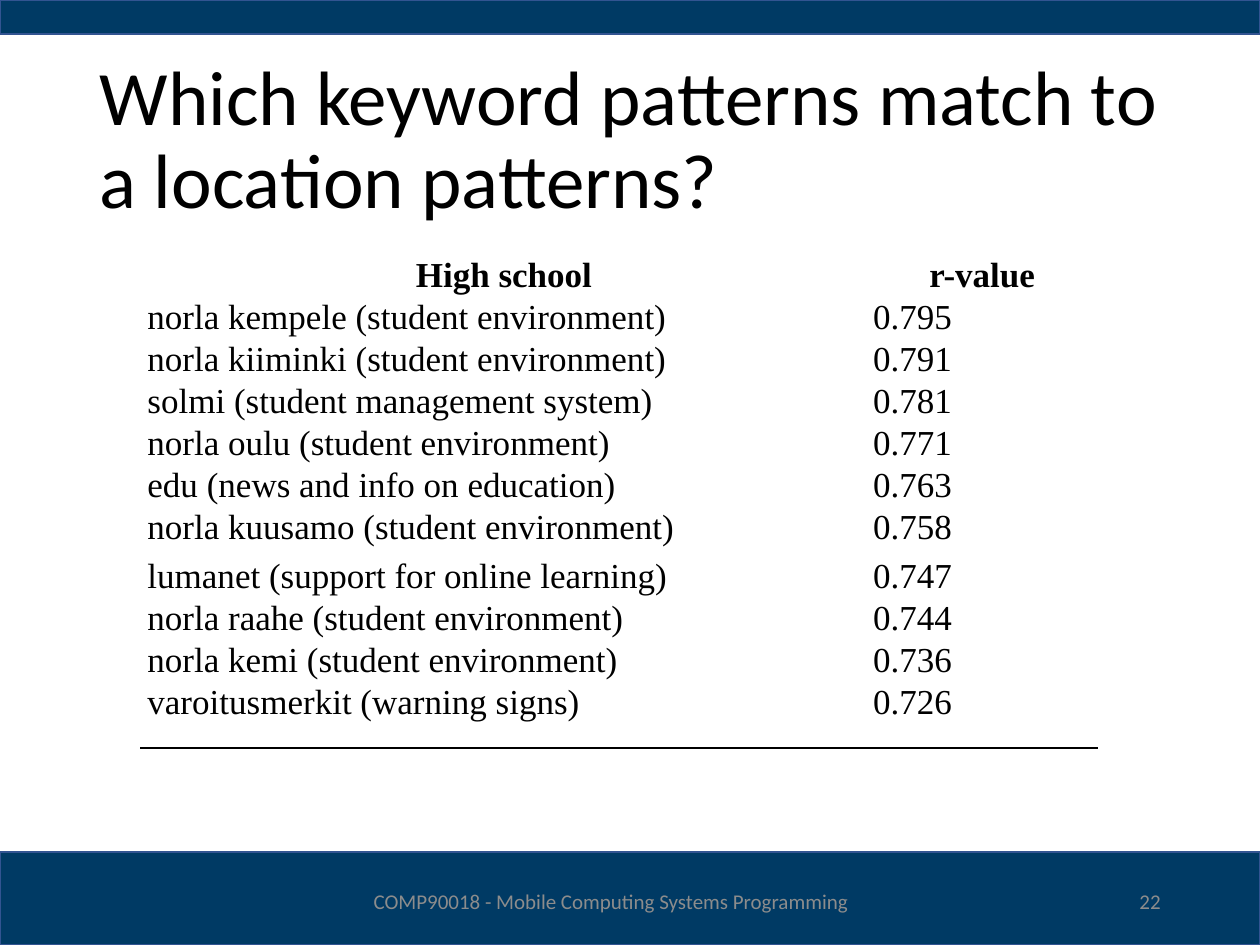
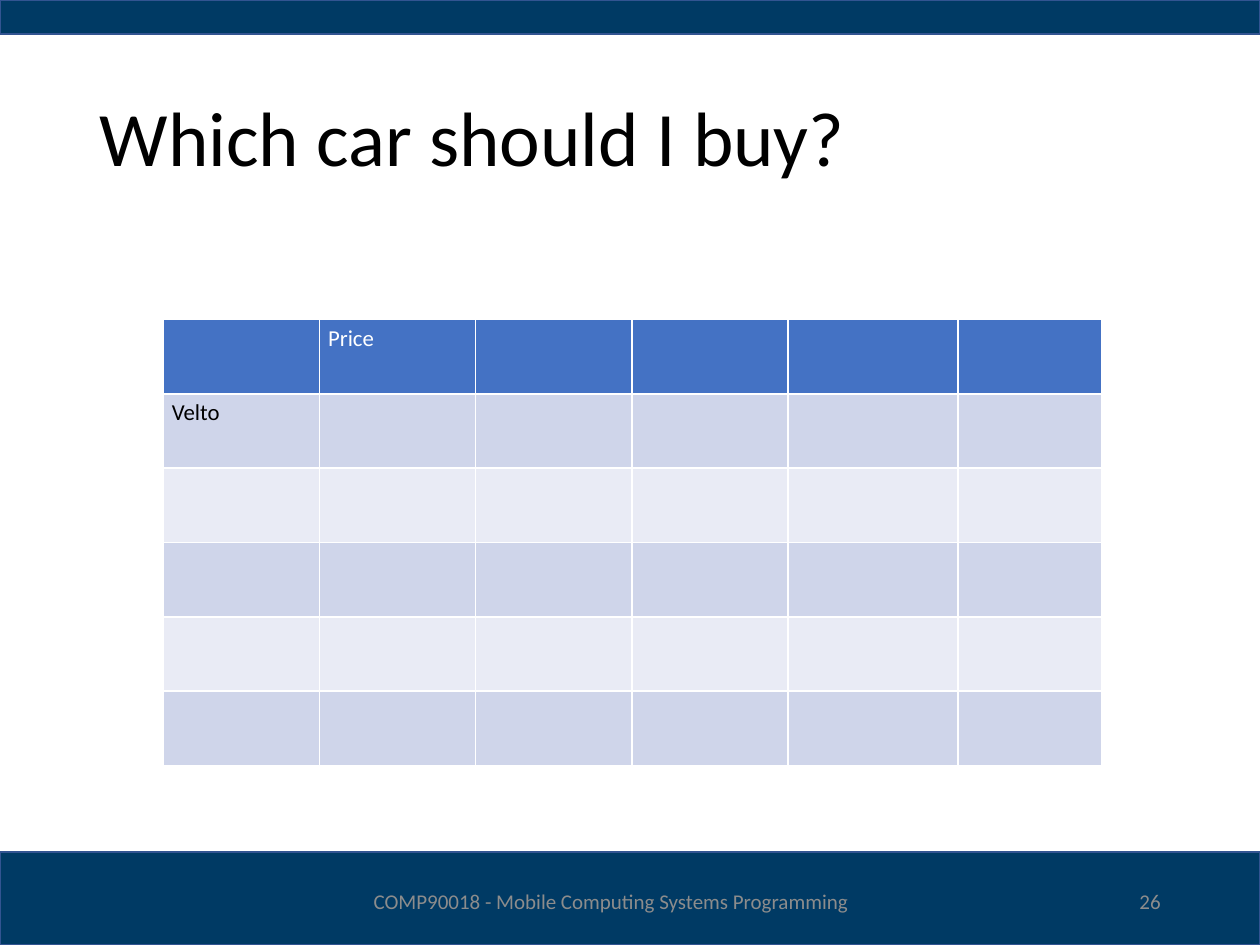
from lxml.etree import SubElement
from pptx import Presentation
from pptx.dml.color import RGBColor
from pptx.enum.shapes import MSO_SHAPE
from pptx.enum.text import MSO_ANCHOR, MSO_AUTO_SIZE, PP_ALIGN
from pptx.oxml.ns import qn
from pptx.util import Inches, Pt

NAVY, BAND_LINE, GREY = "003A64", "325491", "8C8C8C"
BLACK, WHITE = "000000", "FFFFFF"
HEADER_BLUE, STRIPES = "4472C4", ("CFD5EA", "E9EBF5")
SANS, SERIF = "Calibri", "Times New Roman"

COURSE = "COMP90018 - Mobile Computing Systems Programming"
KEYWORDS_TITLE = "Which keyword patterns match to a location patterns?"
KEYWORDS = [
    ("High school", "r-value"),
    ("norla kempele (student environment)", "0.795"),
    ("norla kiiminki (student environment)", "0.791"),
    ("solmi (student management system)", "0.781"),
    ("norla oulu (student environment)", "0.771"),
    ("edu (news and info on education)", "0.763"),
    ("norla kuusamo (student environment)", "0.758"),
    ("lumanet (support for online learning)", "0.747"),
    ("norla raahe (student environment)", "0.744"),
    ("norla kemi (student environment)", "0.736"),
    ("varoitusmerkit (warning signs)", "0.726"),
]
CARS_TITLE = "Which car should I buy?"
CARS = [("", "Price", "", "", "", ""), ("Velto", "", "", "", "", "")] + [("",) * 6] * 4

WIDTH, HEIGHT = Inches(10), Inches(7.5)
COLUMN, ROW = WIDTH / 100, HEIGHT / 100
BANDS = [(0, 90.13, 100, 9.87), (0, 0, 100, 3.6)]
TITLE_AREA = (6.9, 5.33, 86.2, 19.33)
COURSE_AREA = (26.3, 92.67, 44.4, 5.33)
NUMBER_AREA = (70.6, 92.67, 22.5, 5.33)
KEYWORDS_CORNER, KEYWORDS_COLUMNS = (11.2, 27.07), [57.6, 18.3]
KEYWORDS_ROWS = [4.4] * 6 + [4.4, 5.2] + [4.4] * 2 + [6.8]
KEYWORDS_ROWS[6:8] = [5.2, 4.4]
CARS_CORNER, CARS_COLUMNS = (12.95, 33.8), [12.4] * 4 + [13.5, 11.4]
CARS_ROWS = [7.87] * len(CARS)


def color(value):
    return RGBColor.from_string(value)


def area(left, top, width, height):
    return (round(left * COLUMN), round(top * ROW),
            round(width * COLUMN), round(height * ROW))


def write(frame, text, size, font, ink, align=PP_ALIGN.LEFT, bold=False):
    paragraph = frame.paragraphs[0]
    paragraph.alignment = align
    run = paragraph.add_run()
    run.text = text
    run.font.size, run.font.name, run.font.bold = Pt(size), font, bold
    run.font.color.rgb = color(ink)
    return paragraph


def add_footer(slide, text, place, align):
    frame = slide.shapes.add_textbox(*area(*place)).text_frame
    frame.word_wrap = True
    frame.vertical_anchor = MSO_ANCHOR.MIDDLE
    write(frame, text, 12, SANS, GREY, align)


def add_slide(presentation, title, number):
    slide = presentation.slides.add_slide(presentation.slide_layouts[5])
    for place in BANDS:
        band = slide.shapes.add_shape(MSO_SHAPE.RECTANGLE, *area(*place))
        band.shadow.inherit = False
        band.fill.solid()
        band.fill.fore_color.rgb = color(NAVY)
        band.line.color.rgb = color(BAND_LINE)
        band.line.width = Pt(1)
    heading = slide.shapes.title
    heading.left, heading.top, heading.width, heading.height = area(*TITLE_AREA)
    heading.text_frame.auto_size = MSO_AUTO_SIZE.NONE
    heading.text_frame.vertical_anchor = MSO_ANCHOR.MIDDLE
    write(heading.text_frame, title, 44, SANS, BLACK).line_spacing = 0.9
    add_footer(slide, COURSE, COURSE_AREA, PP_ALIGN.CENTER)
    add_footer(slide, str(number), NUMBER_AREA, PP_ALIGN.RIGHT)
    return slide


def set_borders(cell, borders):
    properties = cell._tc.get_or_add_tcPr()
    for side in "LRTB":
        if side in borders:
            line = SubElement(properties, qn(f"a:ln{side}"), w=str(Pt(1)))
            fill = SubElement(line, qn("a:solidFill"))
            SubElement(fill, qn("a:srgbClr"), val=borders[side])


def add_grid(slide, corner, columns, rows, style_cell):
    place = area(*corner, sum(columns), sum(rows))
    table = slide.shapes.add_table(len(rows), len(columns), *place).table
    table.first_row = table.horz_banding = False
    for column, share in zip(table.columns, columns):
        column.width = round(share * COLUMN)
    for row_index, (row, share) in enumerate(zip(table.rows, rows)):
        row.height = round(share * ROW)
        for column_index, cell in enumerate(row.cells):
            style_cell(cell, row_index, column_index)


def fill_cell(cell, value):
    cell.fill.solid()
    cell.fill.fore_color.rgb = color(value)


def style_keyword(cell, row, column):
    header = row == 0
    cell.margin_left = cell.margin_right = Inches(0.05)
    cell.margin_top = cell.margin_bottom = 0
    if row == len(KEYWORDS) - 1:
        set_borders(cell, {"B": BLACK})
    fill_cell(cell, WHITE)
    write(cell.text_frame, KEYWORDS[row][column], 20, SERIF, BLACK,
          PP_ALIGN.CENTER if header else PP_ALIGN.LEFT, header)


def style_car(cell, row, column):
    cell.margin_left = cell.margin_right = Inches(0.07)
    cell.margin_top = cell.margin_bottom = Inches(0.04)
    set_borders(cell, dict.fromkeys("LRTB", WHITE))
    fill_cell(cell, STRIPES[(row - 1) % 2] if row else HEADER_BLUE)
    if CARS[row][column]:
        write(cell.text_frame, CARS[row][column], 13, SANS, BLACK if row else WHITE)


def main():
    presentation = Presentation()
    presentation.slide_width, presentation.slide_height = WIDTH, HEIGHT
    keywords = add_slide(presentation, KEYWORDS_TITLE, 22)
    add_grid(keywords, KEYWORDS_CORNER, KEYWORDS_COLUMNS, KEYWORDS_ROWS, style_keyword)
    cars = add_slide(presentation, CARS_TITLE, 26)
    add_grid(cars, CARS_CORNER, CARS_COLUMNS, CARS_ROWS, style_car)
    presentation.save("out.pptx")


if __name__ == "__main__":
    main()
